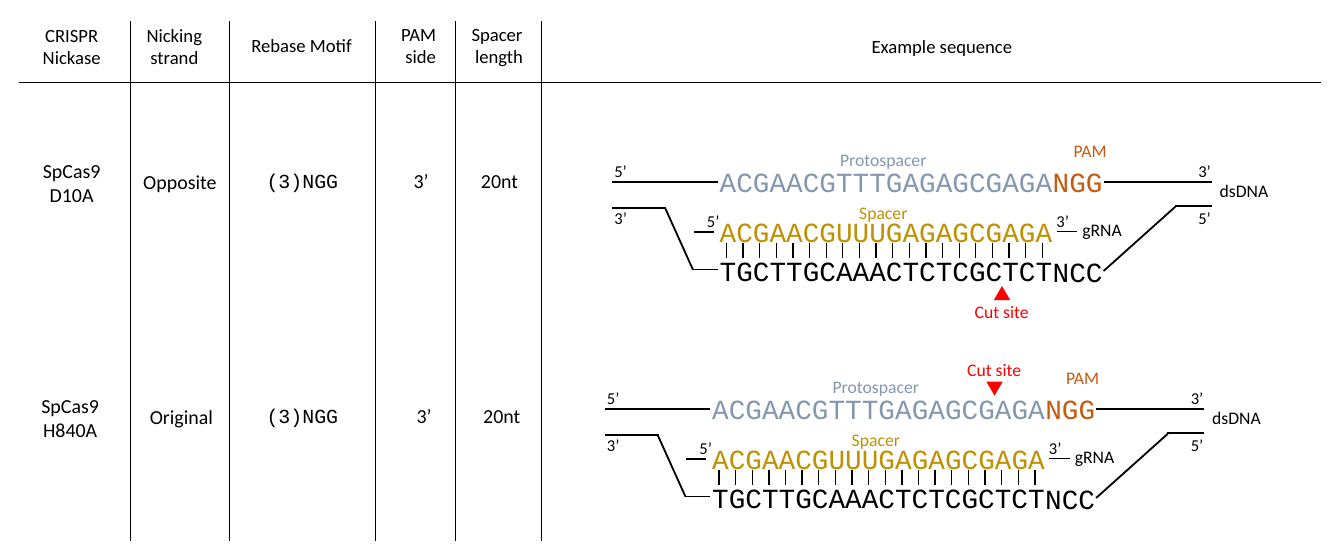
from pptx import Presentation
from pptx.util import Inches, Pt
from pptx.dml.color import RGBColor
from pptx.enum.shapes import MSO_CONNECTOR, MSO_SHAPE
from pptx.enum.text import MSO_AUTO_SIZE, PP_ALIGN
from pptx.oxml.ns import qn
from lxml.etree import SubElement

COLORS = {
    "black": "000000",
    "red": "FF0000",
    "orange": "C55A11",
    "gold": "BF9000",
    "blue": "8497B0",
}
SANS = "Calibri"
MONO = "Courier New"
LEFT = PP_ALIGN.LEFT
MID = PP_ALIGN.CENTER


def paint(name):
    return RGBColor.from_string(COLORS[name])


def style(run, size, color, font):
    run.font.size = Pt(size)
    run.font.name = font
    run.font.color.rgb = paint(color)


def label(shapes, text, box, size, color="black", font=SANS, align=MID, wrap=True):
    frame = shapes.add_textbox(*map(Inches, box)).text_frame
    frame.word_wrap = wrap
    frame.auto_size = MSO_AUTO_SIZE.SHAPE_TO_FIT_TEXT
    frame.text = text
    for para in frame.paragraphs:
        para.alignment = align
        for run in para.runs:
            style(run, size, color, font)
    return frame


def line(shapes, start, end, width):
    link = shapes.add_connector(
        MSO_CONNECTOR.STRAIGHT, *map(Inches, (*start, *end)))
    link.line.color.rgb = paint("black")
    link.line.width = Pt(width)
    SubElement(link._element.spPr, qn("a:effectLst"))


def marker(shapes, x, y, turn):
    mark = shapes.add_shape(
        MSO_SHAPE.ISOSCELES_TRIANGLE, *map(Inches, (x, y, 0.22, 0.19)))
    mark.shadow.inherit = False
    mark.fill.solid()
    mark.fill.fore_color.rgb = paint("red")
    mark.line.fill.background()
    mark.rotation = turn


def grid(shapes):
    line(shapes, (0.25, 1.1), (17.69, 1.1), 0.5)
    for x in (1.75, 3.07, 5.03, 6.1, 7.25):
        line(shapes, (x, 0.28), (x, 7.24), 0.5)


def header(shapes):
    for text, box in (
        ("CRISPR\nNickase", (0.47, 0.27, 0.98, 0.71)),
        ("Nicking\nstrand", (1.86, 0.27, 0.95, 0.71)),
        ("Rebase Motif", (3.26, 0.4, 1.56, 0.4)),
        ("PAM \nside", (5.27, 0.25, 0.73, 0.71)),
        ("Spacer \nlength", (6.21, 0.25, 0.95, 0.71)),
        ("Example sequence", (11.56, 0.42, 2.11, 0.4)),
    ):
        label(shapes, text, box, 18, wrap=False)


def row(shapes, name, strand, top, mids):
    for text, mid, wide, drop, font in (
        (name, mids[0], 1.5, -0.14, SANS),
        (strand, mids[1], 1.4, 0.01, SANS),
        ("(3)NGG", 4.05, 1.49, 0, MONO),
        ("3’", mids[2], 1.18, 0, SANS),
        ("20nt", mids[3], 0.88, 0, SANS),
    ):
        tall = 0.75 if "\n" in text else 0.42
        label(shapes, text, (mid - wide / 2, top + drop, wide, tall), 19.2, font=font)


def strands(shapes, dx, dy):
    for text, x, y, wide, color in (
        ("ACGAACGTTTGAGAGCGAGA", 9.54, 2.16, 5.45, "blue"),
        ("ACGAACGUUUGAGAGCGAGA", 9.54, 2.83, 5.45, "gold"),
        ("TGCTTGCAAACTCTCGCTCT", 9.54, 3.35, 5.34, "black"),
        ("NCC", 14, 3.36, 0.93, "black"),
    ):
        frame = label(shapes, text, (x + dx, y + dy, wide, 0.55), 26.7, color, MONO, LEFT)
        if color == "blue":
            run = frame.paragraphs[0].add_run()
            run.text = "NGG"
            style(run, 26.7, "orange", MONO)


def wires(shapes, dx, dy):
    for x1, y1, x2, y2 in (
        (8.2, 2.44, 9.61, 2.44),
        (14.78, 2.44, 16.23, 2.44),
        (15.73, 2.76, 16.23, 2.76),
        (15.74, 2.77, 14.78, 3.63),
        (9.29, 3.11, 9.56, 3.11),
        (14.15, 3.1, 14.43, 3.1),
        (8.2, 2.79, 8.92, 2.79),
        (8.91, 2.79, 9.28, 3.61),
        (9.28, 3.61, 9.61, 3.61),
    ):
        line(shapes, (x1 + dx, y1 + dy), (x2 + dx, y2 + dy), 1.75)
    pairs = shapes.add_group_shape().shapes
    for i in range(20):
        x = 9.73 + dx + i * 4.23 / 19
        line(pairs, (x, 3.25 + dy), (x, 3.45 + dy), 1.25)


def names(shapes, dx, dy):
    for text, x, y, wide in (
        ("5’", 8.13, 2.1, 0.4),
        ("3’", 8.13, 2.74, 0.48),
        ("3’", 15.95, 2.1, 1.18),
        ("5’", 15.95, 2.74, 1.18),
        ("5’", 9.37, 2.77, 0.4),
        ("3’", 14.05, 2.77, 0.4),
    ):
        label(shapes, text, (x + dx, y + dy, wide, 0.37), 16, align=LEFT)
    for text, x, y, wide, color in (
        ("PAM", 14.01, 1.83, 1.18, "orange"),
        ("Protospacer", 11, 1.95, 1.66, "blue"),
        ("Spacer", 11.24, 2.65, 1.18, "gold"),
        ("gRNA", 14.17, 2.88, 1.18, "black"),
        ("dsDNA", 16.07, 2.36, 1.18, "black"),
    ):
        label(shapes, text, (x + dx, y + dy, wide, 0.39), 17, color)


def cut(shapes, x, y, top, turn):
    marker(shapes, x, y, turn)
    label(shapes, "Cut site", (x - 0.82, top, 1.85, 0.39), 17, "red")


def main():
    deck = Presentation()
    deck.slide_width = Inches(18)
    deck.slide_height = Inches(7.5)
    shapes = deck.slides.add_slide(deck.slide_layouts[6]).shapes
    grid(shapes)
    header(shapes)
    row(shapes, "SpCas9\nD10A", "Opposite", 2.21, (0.96, 2.41, 5.64, 6.69))
    row(shapes, "SpCas9 \nH840A".replace(" ", ""), "Original", 5.36,
        (0.94, 2.43, 5.68, 6.72))
    for dx, dy in ((0, 0), (-0.1, 3.04)):
        strands(shapes, dx, dy)
        wires(shapes, dx, dy)
        names(shapes, dx, dy)
    cut(shapes, 13.31, 3.83, 3.98, 0)
    cut(shapes, 13.21, 5.11, 4.76, 180)
    deck.save("out.pptx")


main()
